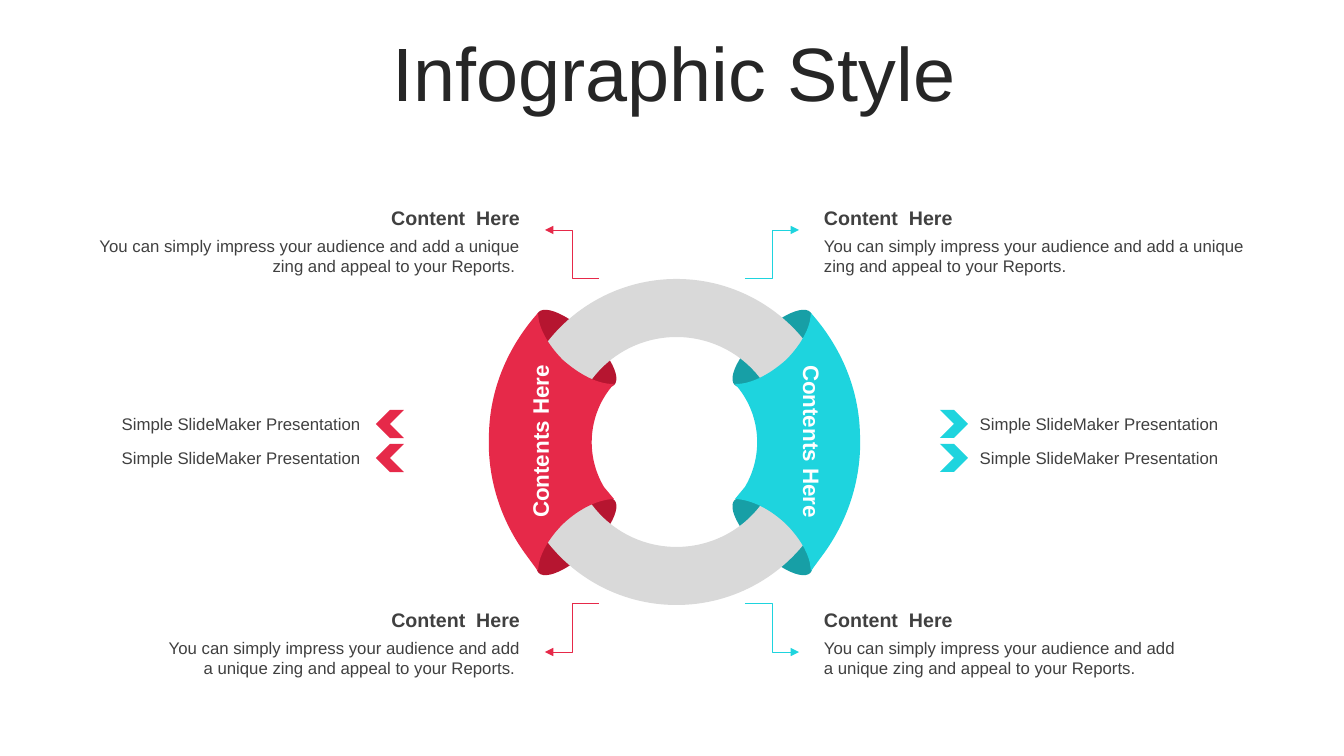
from lxml import etree
from pptx import Presentation
from pptx import util as u
from pptx.dml.color import RGBColor
from pptx.enum import shapes, text
from pptx.oxml.ns import qn

TITLE = "Infographic Style"
HEADING = "Content  Here"
DESC = "You can simply impress your audience and add a unique zing and appeal to your Reports. "
BULLET = "Simple SlideMaker Presentation "
BAND_LABEL = "Contents Here"
FONT, DARK, GREY, WHITE, RING = "Arial", "262626", "404040", "FFFFFF", "D9D9D9"

SIDES = [
    dict(color="E62949", fold="B61530", mirror=False, label_x=490, label_rot=270,
         edge=530, align="RIGHT", arrow=(599, 545), chevron_x=376, bullet_x=110),
    dict(color="1ED4DE", fold="179FA6", mirror=True, label_x=502, label_rot=90,
         edge=814, align="LEFT", arrow=(745, 799), chevron_x=940, bullet_x=968),
]
CALLOUTS = [
    dict(y=201, w=446, arrow=(278, 230)),
    dict(y=603, w=381, arrow=(603, 652)),
]
CHEVRON_YS = (410, 444)
FOLDS = [(484, 46.2), (296, 313.8)]
AXIS_SUM = 1349
BAND_START = (538, 313)
BAND = [
    (539, 321),
    (542, 334, 551, 348, 563, 360), (580, 375, 598, 384, 613, 384), (614, 384),
    (588, 413, 585, 455, 604, 487), (614, 499), (613, 499),
    (598, 500, 580, 508, 563, 524), (551, 536, 542, 550, 539, 563),
    (538, 571), (527, 556),
    (500, 520, 487, 477, 489, 434), (490, 390, 507, 348, 538, 313),
]
PX = 914400 / 100.8


def px(n):
    return u.Emu(round(n * PX))


def rgb(value):
    return RGBColor.from_string(value)


def paint(sp, color):
    sp.shadow.inherit = False
    sp.fill.solid()
    sp.fill.fore_color.rgb = rgb(color)
    sp.line.fill.background()


def add_preset(kind, x, y, w, h, color, rotation=0):
    sp = slide.shapes.add_shape(kind, px(x), px(y), px(w), px(h))
    sp.rotation = rotation
    paint(sp, color)
    return sp


def write(sp, words, size, color, align, bold=False):
    tf = sp.text_frame
    tf.word_wrap = True
    p = tf.paragraphs[0]
    p.alignment = getattr(text.PP_ALIGN, align)
    r = p.add_run()
    r.text = words
    r.font.name, r.font.size, r.font.bold = FONT, u.Pt(size), bold
    r.font.color.rgb = rgb(color)
    return p


def add_text(x, y, w, h, *style, rotation=0, bold=False):
    sp = slide.shapes.add_textbox(px(x), px(y), px(w), px(h))
    sp.rotation = rotation
    write(sp, *style, bold=bold)


def add_band(side):
    def place(x, y):
        return px(AXIS_SUM - x if side["mirror"] else x), px(y)

    builder = slide.shapes.build_freeform(*place(*BAND_START))
    builder.add_line_segments([place(*seg[-2:]) for seg in BAND], close=True)
    sp = builder.convert_to_shape()
    for ln, seg in zip(list(sp._element.iter(qn("a:lnTo"))), BAND):
        if len(seg) == 6:
            ln.tag = qn("a:cubicBezTo")
            ln.remove(ln[0])
            for i in (0, 2, 4):
                x, y = place(*seg[i:i + 2])
                etree.SubElement(ln, qn("a:pt"), x=str(x - sp.left), y=str(y - sp.top))
    paint(sp, side["color"])


def add_arrow(xs, ys, color):
    cn = slide.shapes.add_connector(
        shapes.MSO_CONNECTOR.ELBOW, px(xs[0]), px(ys[0]), px(xs[1]), px(ys[1]))
    cn.line.color.rgb = rgb(color)
    cn.line.width = u.Pt(0.5)
    etree.SubElement(cn.line._get_or_add_ln(), qn("a:tailEnd"), type="triangle")
    etree.SubElement(cn._element.spPr, qn("a:effectLst"))


prs = Presentation()
prs.slide_width, prs.slide_height = px(1344), px(756)
slide = prs.slides.add_slide(prs.slide_layouts[5])

title = slide.shapes.title
title.left, title.top, title.width, title.height = px(36), px(37), px(1276), px(80)
title.text_frame.vertical_anchor = text.MSO_ANCHOR.MIDDLE
write(title, TITLE, 54, DARK, "CENTER").line_spacing = 0.9
title.text_frame.auto_size = text.MSO_AUTO_SIZE.NONE

for side in SIDES:
    fold_x = AXIS_SUM - 558 - 37 if side["mirror"] else 558
    for y, angle in FOLDS:
        rotation = 360 - angle if side["mirror"] else angle
        add_preset(shapes.MSO_SHAPE.OVAL, fold_x, y, 37, 105, side["fold"], rotation)

ring = add_preset(shapes.MSO_SHAPE.DONUT, 513, 279, 327, 326, RING)
ring.adjustments[0] = 0.178

for side in SIDES:
    add_band(side)

for side in SIDES:
    color, align = side["color"], side["align"]
    add_text(side["label_x"], 293, 360, 297, BAND_LABEL, 16, WHITE, "CENTER",
             rotation=side["label_rot"], bold=True)
    for c in CALLOUTS:
        x = side["edge"] - (c["w"] if align == "RIGHT" else 0)
        add_text(x, c["y"], c["w"], 34, HEADING, 14, GREY, align, bold=True)
        add_text(x, c["y"] + 30, c["w"], 50, DESC, 12, GREY, align)
        add_arrow(side["arrow"], c["arrow"], color)
    for y in CHEVRON_YS:
        add_preset(shapes.MSO_SHAPE.CHEVRON, side["chevron_x"], y, 28, 28, color,
                   0 if side["mirror"] else 180)
        add_text(side["bullet_x"], y - 1, 267, 30, BULLET, 12, GREY, "CENTER")

prs.save("out.pptx")
